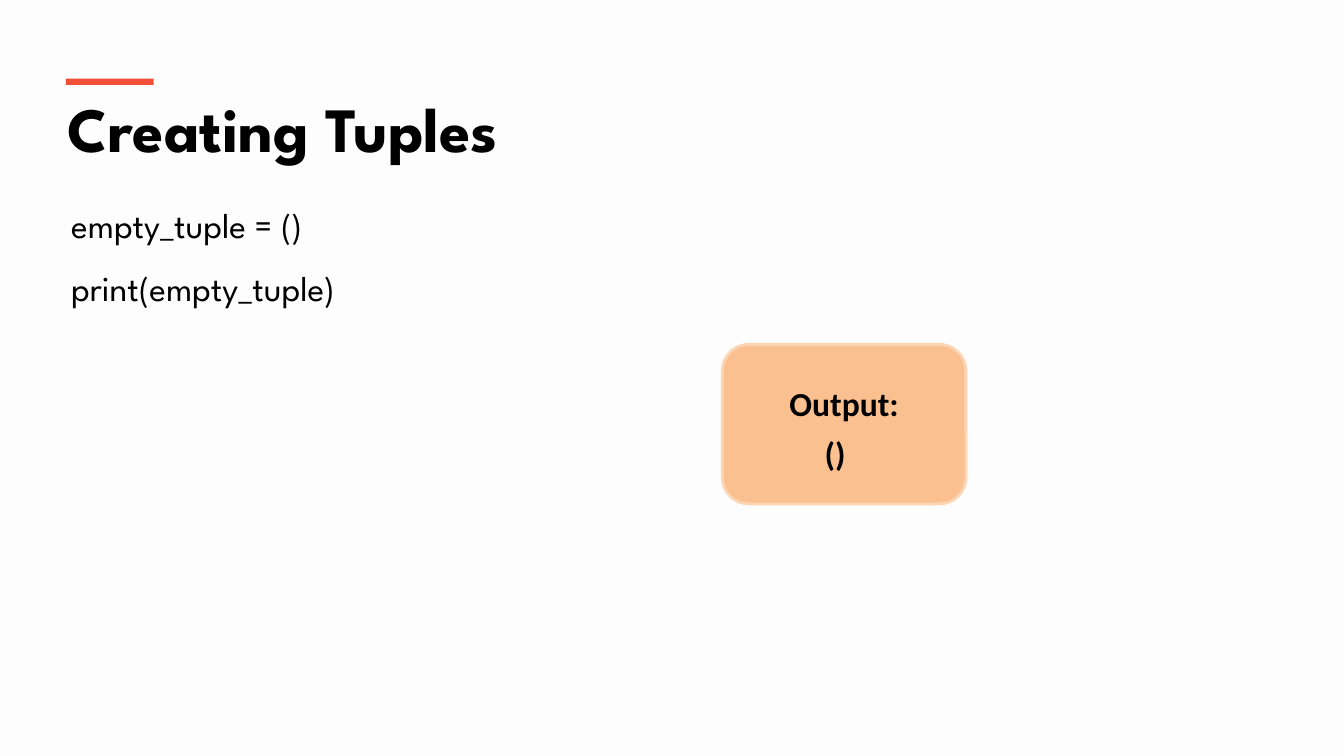
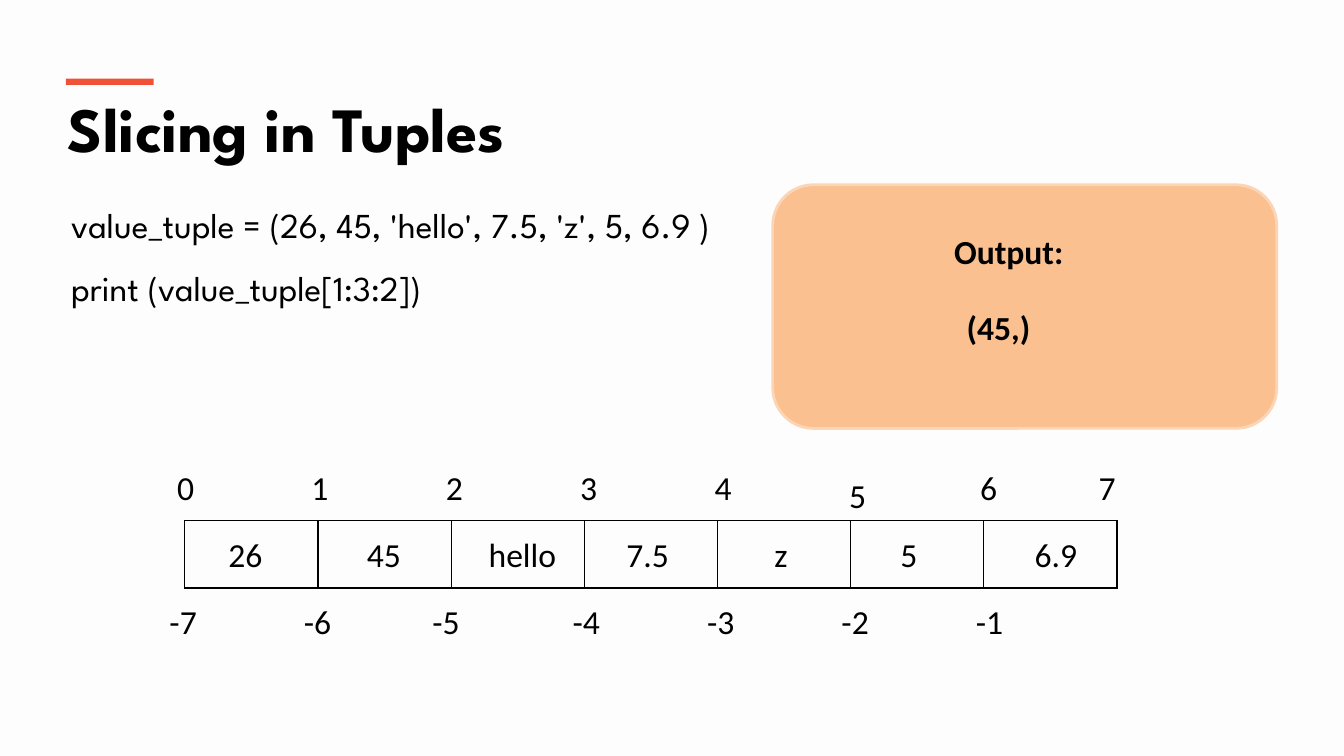
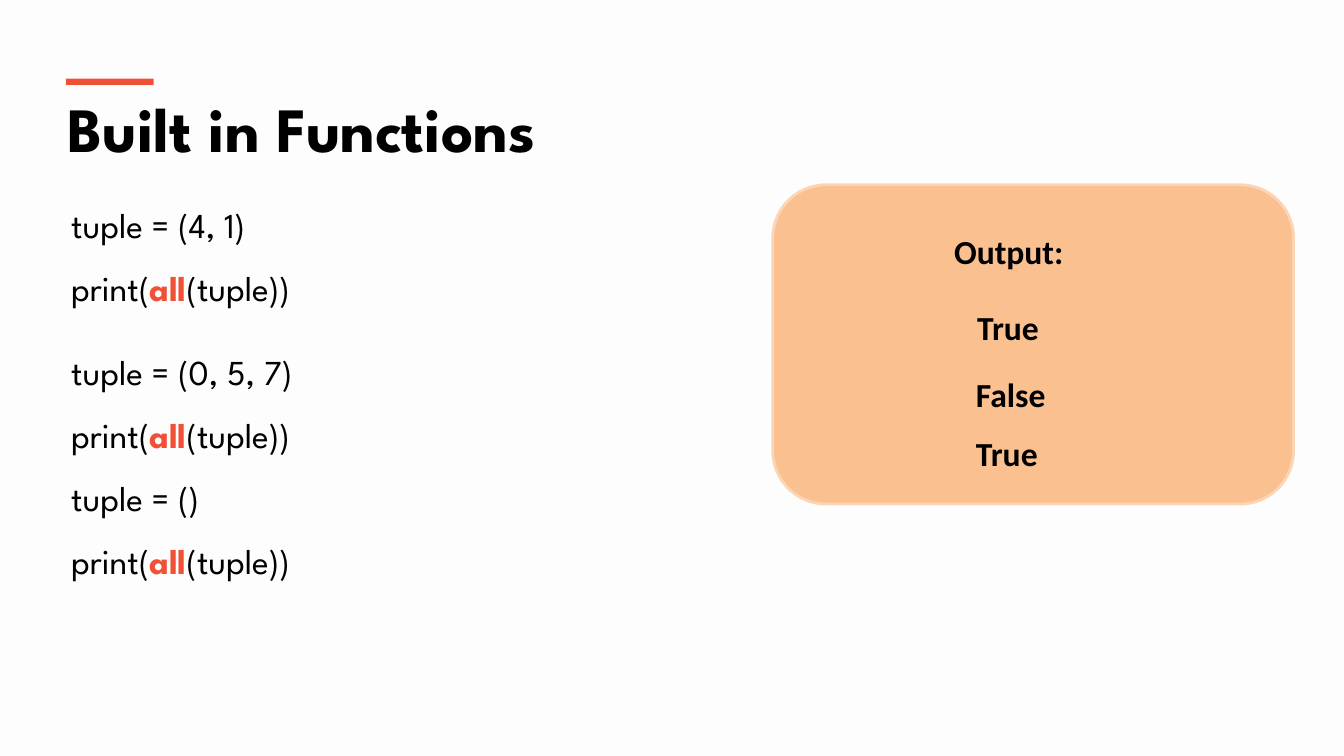
from lxml import etree
from pptx import Presentation
from pptx.dml.color import RGBColor
from pptx.enum.shapes import MSO_SHAPE
from pptx.enum.text import MSO_ANCHOR, PP_ALIGN
from pptx.oxml.ns import qn
from pptx.util import Inches, Pt

RECTANGLE = MSO_SHAPE.RECTANGLE
ROUNDED = MSO_SHAPE.ROUNDED_RECTANGLE
MIDDLE = MSO_ANCHOR.MIDDLE
CENTER = PP_ALIGN.CENTER

PAPER = RGBColor(0xFD, 0xFD, 0xFD)
INK = RGBColor(0x00, 0x00, 0x00)
ACCENT = RGBColor(0xF0, 0x51, 0x36)
PEACH = RGBColor(0xFA, 0xC0, 0x90)
PEACH_EDGE = RGBColor(0xFC, 0xD5, 0xB5)

# The page is a grid of 160 columns by 90 rows, twelve to the inch.
COLUMNS, ROWS = 160, 90
UNIT = Inches(1 / 12)
LINE = 6  # rows taken by one line of results or values

TITLE = {"name": "League Spartan", "size": Pt(45), "bold": True}
CODE = {"name": "League Spartan", "size": Pt(25), "bold": False}
RESULT = {"name": "Calibri", "size": Pt(24), "bold": True}
VALUE = {"name": "Calibri", "size": Pt(24), "bold": False}
KEYWORD = "all"


def grid(*cells):
    return [round(cell * UNIT) for cell in cells]


def write(frame, lines, style, spacing=1.0):
    """Fill a frame with one paragraph a line, marking the keyword in code."""
    frame.word_wrap = True
    for number, line in enumerate(lines):
        para = frame.add_paragraph() if number else frame.paragraphs[0]
        para.line_spacing = spacing
        pieces = line.partition(KEYWORD) if style is CODE else [line]
        for piece in filter(None, pieces):
            span = para.add_run()
            span.text = piece
            for attribute, setting in style.items():
                setattr(span.font, attribute, setting)
            span.font.color.rgb = INK
            if piece == KEYWORD:
                span.font.bold = True
                span.font.color.rgb = ACCENT


# Code blocks are keyed by their top row; results give column, row, width, text.
LESSONS = [
    {
        "title": "Creating Tuples",
        "code": {21.1: ["empty_tuple = ()", "print(empty_tuple)"]},
        "panel": (86, 41, 29, 19),
        "caption": "Output:",
        "results": [(97, 51, 5.3, "()")],
    },
    {
        "title": "Slicing in Tuples",
        "code": {21.1: ["value_tuple = (26, 45, 'hello', 7.5, 'z', 5, 6.9 )",
                        "print (value_tuple[1:3:2])"]},
        "panel": (92, 22, 60, 29),
        "results": [(113.9, 36, 10.5, "(45,)"), (112.4, 26.95, 16, "Output:")],
    },
    {
        "title": "Built in Functions",
        "code": {21.1: ["tuple = (4, 1)", "print(all(tuple))"],
                 38.6: ["tuple = (0, 5, 7)", "print(all(tuple))"],
                 53.6: ["tuple = ()", "print(all(tuple))"]},
        "panel": (92, 22, 62, 38),
        "results": [(115.15, 36, 10.2, "True"), (112.4, 26.95, 16, "Output:"),
                    (115, 43.9, 11.2, "False"), (115, 51, 10.2, "True")],
    },
]

deck = Presentation()
deck.slide_width, deck.slide_height = grid(COLUMNS, ROWS)
background = deck.slide_master.background.fill
background.solid()
background.fore_color.rgb = PAPER
blank = deck.slide_layouts[6]

for lesson in LESSONS:
    page = deck.slides.add_slide(blank)
    box = page.shapes.add_textbox(*grid(6.9, 10.1, 146.2, 10.3))
    write(box.text_frame, [lesson["title"]], TITLE)

    bar = page.shapes.add_shape(RECTANGLE, *grid(7.85, 9.35, 10.45, 0.75))
    panel = page.shapes.add_shape(ROUNDED, *grid(*lesson["panel"]))
    for shape, colour in ((bar, ACCENT), (panel, PEACH)):
        shape.shadow.inherit = False
        shape.fill.solid()
        shape.fill.fore_color.rgb = colour
    bar.line.fill.background()
    panel.line.color.rgb = PEACH_EDGE
    panel.line.width = Pt(2)
    if "caption" in lesson:
        frame = panel.text_frame
        write(frame, [lesson["caption"]], RESULT)
        frame.paragraphs[0].alignment = CENTER
        frame.vertical_anchor = MIDDLE
        frame.margin_bottom = round(5.5 * UNIT)

    for top, lines in lesson["code"].items():
        box = page.shapes.add_textbox(*grid(7.3, top, 145.7, 16))
        write(box.text_frame, lines, CODE, spacing=1.5)
    for left, top, width, text in lesson["results"]:
        box = page.shapes.add_textbox(*grid(left, top, width, LINE))
        write(box.text_frame, [text], RESULT)

# The slicing page also shows the tuple as a row of cells.
page = deck.slides[1]
VALUES = [(26, 6.9, "26"), (42.5, 6.9, "45"), (57, 11, "hello"),
          (73.4, 8, "7.5"), (91, 4.5, "z"), (106, 4.8, "5"),
          (122, 8, "6.9")]  # column, width, text
table = page.shapes.add_table(1, len(VALUES), *grid(22, 62, 111, 8)).table
table.first_row = table.horz_banding = False
for cell in table.iter_cells():
    cell.fill.background()
    properties = cell._tc.get_or_add_tcPr()
    for order, side in enumerate(("lnL", "lnR", "lnT", "lnB")):
        border = etree.Element(qn(f"a:{side}"), w=str(Pt(1)))
        fill = etree.SubElement(border, qn("a:solidFill"))
        etree.SubElement(fill, qn("a:srgbClr"), val=str(INK))
        properties.insert(order, border)
for left, width, text in VALUES:
    box = page.shapes.add_textbox(*grid(left, 63, width, LINE))
    write(box.text_frame, [text], VALUE)

# Indices stand at the cell edges, a few of them shifted by hand.
INDEX_STEP = 16
INDEX_ROWS = [(19, 71, range(-7, 0)), (19.9, 55, range(0, 8))]
SHIFTS = {5: (0, 1), 6: (-0.4, 0), 7: (-2.3, 0), -5: (-0.7, 0)}
for left, top, indices in INDEX_ROWS:
    for step, index in enumerate(indices):
        across, down = SHIFTS.get(index, (0, 0))
        box = page.shapes.add_textbox(
            *grid(left + step * INDEX_STEP + across, top + down, 6, LINE))
        write(box.text_frame, [str(index)], VALUE)

deck.save("out.pptx")
